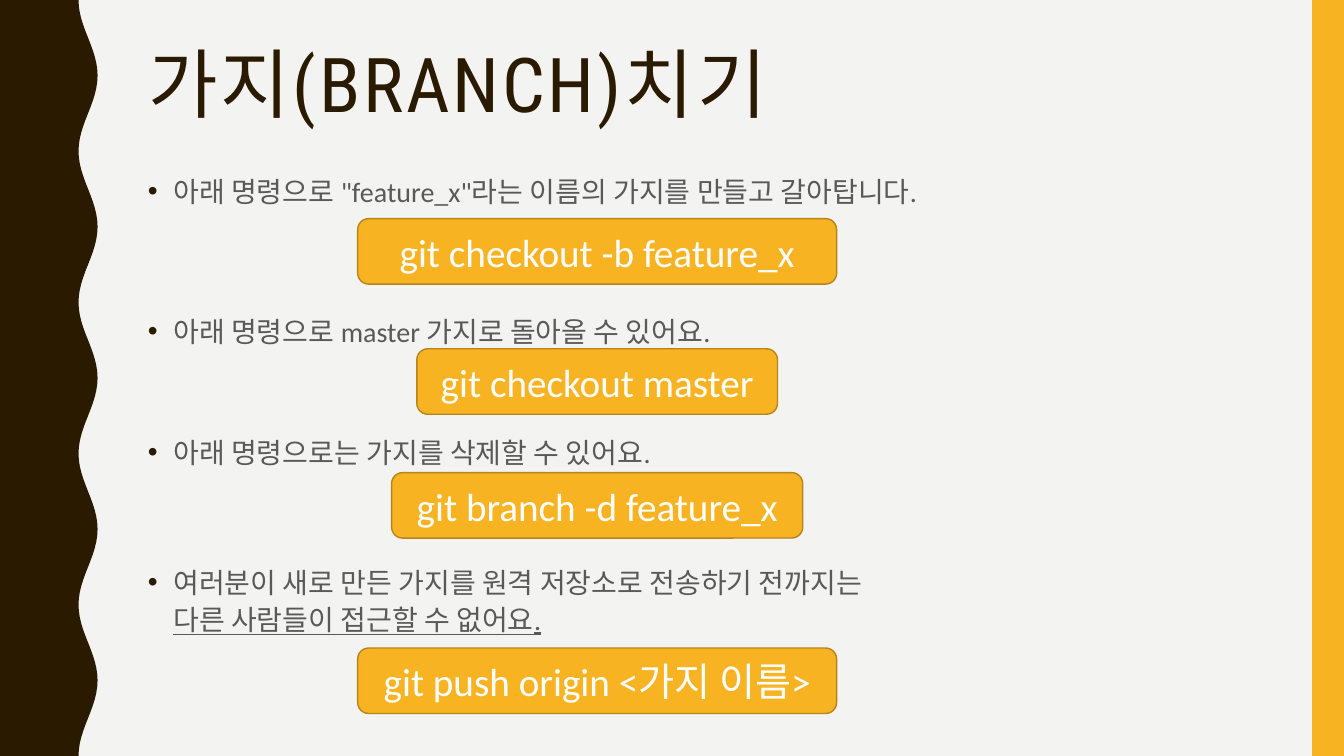
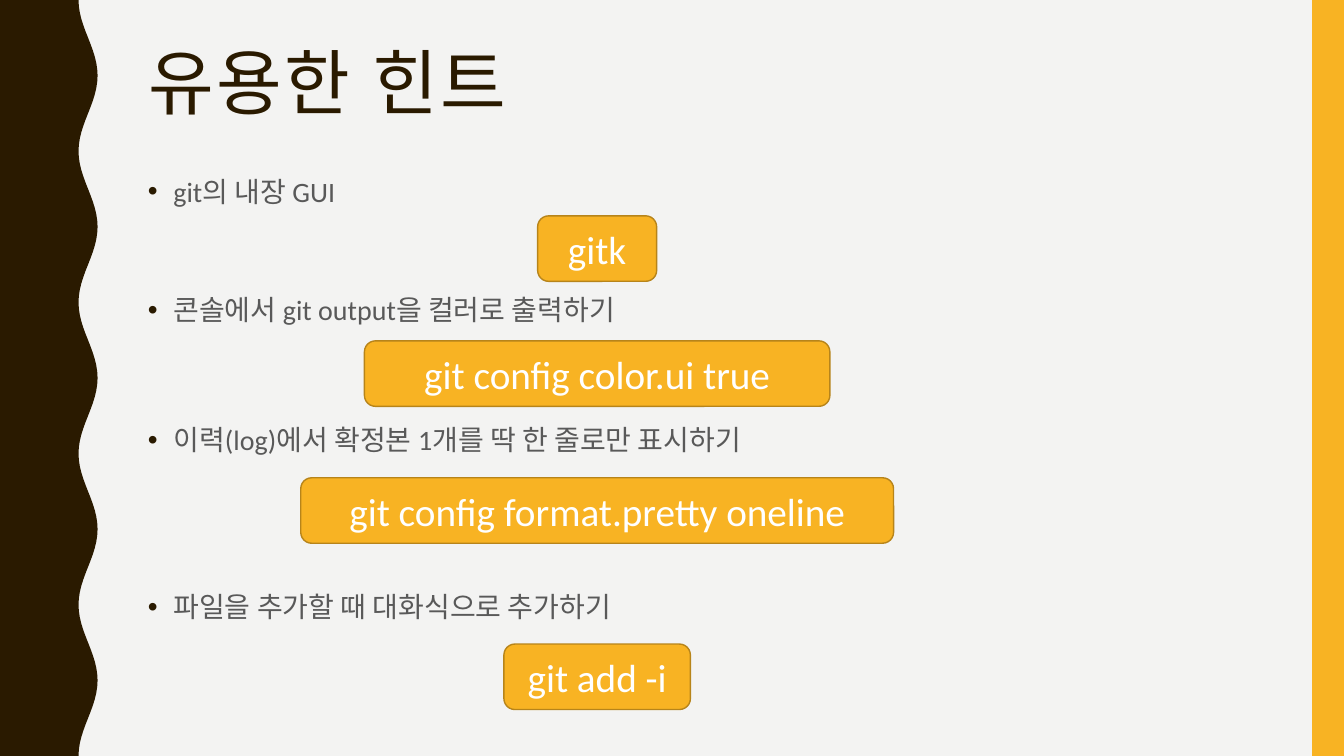
from math import cos, pi

from lxml import etree
from pptx import Presentation
from pptx.dml.color import RGBColor
from pptx.enum.shapes import MSO_SHAPE
from pptx.enum.text import MSO_ANCHOR, MSO_AUTO_SIZE, PP_ALIGN
from pptx.oxml.ns import qn
from pptx.util import Cm, Pt

RECT, ROUND = MSO_SHAPE.RECTANGLE, MSO_SHAPE.ROUNDED_RECTANGLE
TOP, MIDDLE = MSO_ANCHOR.TOP, MSO_ANCHOR.MIDDLE
LEFT, CENTER = PP_ALIGN.LEFT, PP_ALIGN.CENTER
NO_FIT = MSO_AUTO_SIZE.NONE

DARK, GOLD, EDGE = "2A1A00", "F8B323", "B7841A"
PALE, GREY, WHITE = "F3F3F2", "595959", "FFFFFF"
WIDE, HIGH = 33.87, 19.05

TITLE = {"name": "Roboto Condensed"}
BODY = {"name": "Calibri", "size": Pt(20)}
CODE = {"name": "Calibri", "size": Pt(28)}

# Title, title size, then rows: text, space before, command, its top and width
PAGES = [
    ("가지(BRANCH)치기", 54, [
        ('아래 명령으로 "feature_x"라는 이름의 가지를 만들고 갈아탑니다.', 7,
         "git checkout -b feature_x", 5.51, 12.07),
        ("아래 명령으로 master 가지로 돌아올 수 있어요.", 73.5,
         "git checkout master", 8.79, 9.09),
        ("아래 명령으로는 가지를 삭제할 수 있어요.", 60,
         "git branch -d feature_x", 11.91, 10.36),
        ("여러분이 새로 만든 가지를 원격 저장소로 전송하기 전까지는\n"
         "다른 사람들이 접근할 수 없어요.", 66.5,
         "git push origin <가지 이름>", 16.33, 12.07),
    ]),
    ("유용한 힌트", 51, [
        ("git의 내장 GUI", 7, "gitk", 5.44, 3),
        ("콘솔에서 git output을 컬러로 출력하기", 58,
         "git config color.ui true", 8.59, 11.73),
        ("이력(log)에서 확정본 1개를 딱 한 줄로만 표시하기", 66.5,
         "git config format.pretty oneline", 12.04, 14.94),
        ("파일을 추가할 때 대화식으로 추가하기", 93,
         "git add -i", 16.23, 4.7),
    ]),
]


def paint(part, tone):
    """Give a fill or a font one plain colour."""
    if hasattr(part, "solid"):
        part.solid()
        part.fore_color.rgb = RGBColor.from_string(tone)
    else:
        part.color.rgb = RGBColor.from_string(tone)


def write(para, text, form, tone):
    """Add a run with the given format and return it."""
    run = para.add_run()
    run.text = text
    for key, value in form.items():
        setattr(run.font, key, value)
    paint(run.font, tone)
    return run


deck = Presentation()
deck.slide_width, deck.slide_height = Cm(WIDE), Cm(HIGH)
layout = deck.slide_layouts[5]
paint(layout.background.fill, PALE)
slides = [deck.slides.add_slide(layout) for page in PAGES]

# Wavy left edge and right band, drawn once and moved to the layout
shapes = slides[0].shapes
steps = 120
edge = [(Cm(2.22 - 0.24 * cos(2 * pi * 5 * i / steps)), Cm(HIGH * i / steps))
        for i in range(steps + 1)]
pen = shapes.build_freeform(0, 0)
pen.add_line_segments(edge + [(0, Cm(HIGH))], close=True)
wave = pen.convert_to_shape()
band = shapes.add_shape(RECT, Cm(33.07), 0, Cm(0.8), Cm(HIGH))
for shape, tone in ((wave, DARK), (band, GOLD)):
    paint(shape.fill, tone)
    shape.line.fill.background()
    shape.shadow.inherit = False
    layout.shapes.element.append(shape.element)

for slide, (head, size, rows) in zip(slides, PAGES):
    # Title
    title = slide.shapes.title
    title.left, title.top = Cm(3.48), Cm(1.07)
    title.width, title.height = Cm(28.27), Cm(2.9)
    frame = title.text_frame
    frame.auto_size, frame.vertical_anchor = NO_FIT, TOP
    para = frame.paragraphs[0]
    para.alignment, para.line_spacing = LEFT, 0.9
    run = write(para, head, TITLE | {"size": Pt(size)}, DARK)
    run.font._element.set("spc", "200")

    # Bullet list
    box = slide.shapes.add_textbox(Cm(3.48), Cm(4.19), Cm(28.27), Cm(13.79))
    frame = box.text_frame
    frame.word_wrap = True
    for i, (text, gap, *_) in enumerate(rows):
        para = frame.add_paragraph() if i else frame.paragraphs[0]
        para.line_spacing, para.space_before = 1.1, Pt(gap)
        props = para._p.get_or_add_pPr()
        props.set("marL", str(Cm(0.64)))
        props.set("indent", str(-Cm(0.64)))
        tint = etree.SubElement(props, qn("a:buClr"))
        etree.SubElement(tint, qn("a:srgbClr"), val=DARK)
        etree.SubElement(props, qn("a:buFont"), typeface="Arial")
        etree.SubElement(props, qn("a:buChar"), char="•")
        for n, line in enumerate(text.split("\n")):
            if n:
                para.add_line_break()
            write(para, line, BODY | {"underline": n > 0}, GREY)

    # Command boxes on one centre line
    for _, _, code, top, width in rows:
        key = slide.shapes.add_shape(
            ROUND, Cm(15.05 - width / 2), Cm(top), Cm(width), Cm(1.65))
        key.shadow.inherit = False
        paint(key.fill, GOLD)
        paint(key.line.fill, EDGE)
        key.line.width = Pt(1)
        key.text_frame.vertical_anchor = MIDDLE
        para = key.text_frame.paragraphs[0]
        para.alignment = CENTER
        write(para, code, CODE, WHITE)

deck.save("out.pptx")
